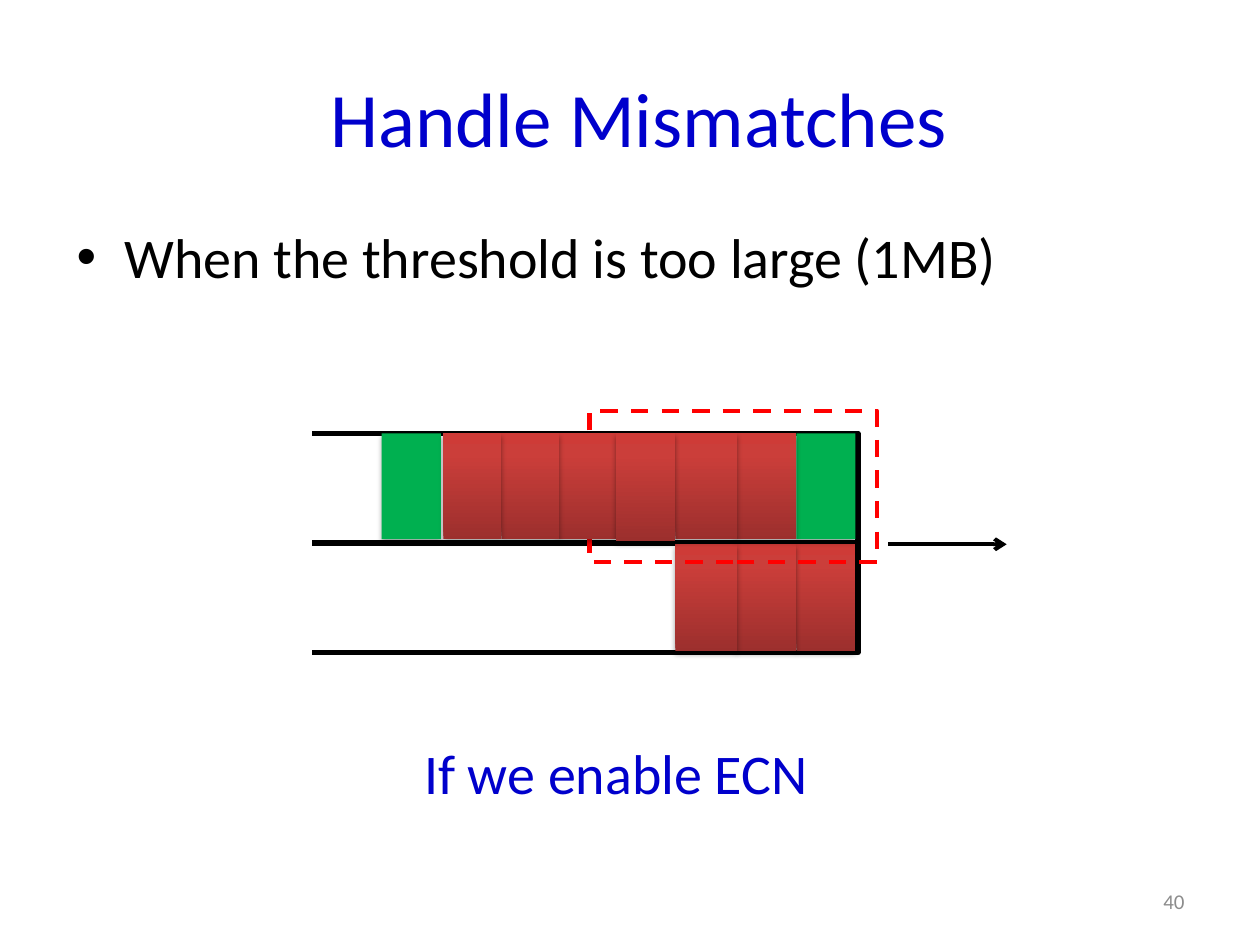
from copy import deepcopy

from lxml.etree import SubElement
from pptx import Presentation
from pptx.dml.color import RGBColor
from pptx.enum.dml import MSO_LINE
from pptx.enum.shapes import MSO_CONNECTOR, MSO_SHAPE
from pptx.enum.text import MSO_ANCHOR, PP_ALIGN
from pptx.oxml.ns import qn
from pptx.util import Inches, Pt

COLORS = {
    "heading": "0000CC", "text": "000000", "number": "8C8C8C",
    "queue": "FFFFFF", "outline": "000000", "marked": "00B050", "limit": "FF0000",
}
RED_STOPS = [(0, "9C2F2D"), (0.8, "CB3E3A"), (1, "CE3B37")]

QUEUE_LEFT, QUEUE_WIDTH, QUEUE_HEIGHT = 2.48, 4.33, 0.87
UPPER_TOP, LOWER_TOP = 3.44, 4.31
# Packet slots from the head of the queue: offset from its left edge, width
SLOTS = [(3.84, 0.47), (3.36, 0.48), (2.88, 0.49), (2.41, 0.47),
         (1.95, 0.46), (1.5, 0.46), (1.04, 0.46), (0.55, 0.47)]


def rgb(name):
    return RGBColor.from_string(COLORS[name])


def write(shape, text, size, color, align=PP_ALIGN.LEFT, anchor=MSO_ANCHOR.MIDDLE):
    frame = shape.text_frame
    frame.word_wrap = True
    frame.vertical_anchor = anchor
    paragraph = frame.paragraphs[0]
    paragraph.alignment = align
    run = paragraph.add_run()
    run.text = text
    font_format = {"name": "Calibri", "size": Pt(size)}
    for attribute, value in font_format.items():
        setattr(run.font, attribute, value)
    run.font.color.rgb = rgb(color)
    return paragraph


def add_text(slide, box, *args, **kwargs):
    return write(slide.shapes.add_textbox(*map(Inches, box)), *args, **kwargs)


def add_bullet(slide, box, text):
    paragraph = add_text(slide, box, text, 32, "text", anchor=MSO_ANCHOR.TOP)
    properties = paragraph._p.get_or_add_pPr()
    indent = Inches(0.38)
    properties.set("marL", str(indent))
    properties.set("indent", str(-indent))
    spacing = SubElement(properties, qn("a:spcBef"))
    SubElement(spacing, qn("a:spcPct"), val="20000")
    SubElement(properties, qn("a:buFont"), typeface="Arial")
    SubElement(properties, qn("a:buChar"), char="•")


def add_queue(slide, left, top, width, height):
    """Draw a queue that is open on its left side."""
    right, bottom = left + width, top + height
    builder = slide.shapes.build_freeform(Inches(left), Inches(top))
    corners = [(right, top), (right, bottom), (left, bottom)]
    builder.add_line_segments([(Inches(x), Inches(y)) for x, y in corners], close=False)
    queue = builder.convert_to_shape()
    queue.shadow.inherit = False
    queue.fill.solid()
    queue.fill.fore_color.rgb = rgb("queue")
    queue.line.color.rgb = rgb("outline")
    queue.line.width = Pt(3)


def fill_red(packet):
    packet.fill.gradient()
    packet.fill.gradient_angle = 90
    stop_list = next(packet.element.iter(qn("a:gsLst")))
    stop_list.insert(1, deepcopy(stop_list[0]))
    for stop, (position, color) in zip(packet.fill.gradient_stops, RED_STOPS):
        stop.position = position
        stop.color.rgb = RGBColor.from_string(color)


def add_soft_shadow(shape):
    shape.shadow.inherit = False
    effects = shape.element.spPr.find(qn("a:effectLst"))
    shadow = SubElement(effects, qn("a:outerShdw"), blurRad=str(Pt(3.1)),
                        dist=str(Pt(1.8)), dir="5400000", rotWithShape="0")
    color = SubElement(shadow, qn("a:srgbClr"), val=COLORS["outline"])
    SubElement(color, qn("a:alpha"), val="35000")


def add_packets(slide, top, height, slots, marked=()):
    """Put packets in the given slots; marked ones are green, the others red."""
    for slot in slots:
        offset, width = SLOTS[slot]
        box = (QUEUE_LEFT + offset, top, width, height)
        packet = slide.shapes.add_shape(MSO_SHAPE.RECTANGLE, *map(Inches, box))
        if slot in marked:
            packet.fill.solid()
            packet.fill.fore_color.rgb = rgb("marked")
        else:
            fill_red(packet)
        packet.line.fill.background()
        add_soft_shadow(packet)


def add_threshold(slide, box):
    threshold = slide.shapes.add_shape(MSO_SHAPE.RECTANGLE, *map(Inches, box))
    threshold.shadow.inherit = False
    threshold.fill.background()
    threshold.line.color.rgb = rgb("limit")
    line_format = {"width": Pt(2.5), "dash_style": MSO_LINE.DASH}
    for attribute, value in line_format.items():
        setattr(threshold.line, attribute, value)


def add_output_arrow(slide, left, y, length):
    arrow = slide.shapes.add_connector(
        MSO_CONNECTOR.STRAIGHT, Inches(left), Inches(y), Inches(left + length), Inches(y))
    arrow.line.color.rgb = rgb("outline")
    arrow.line.width = Pt(2.25)
    SubElement(arrow.line._get_or_add_ln(), qn("a:tailEnd"), type="arrow")
    SubElement(arrow.element.spPr, qn("a:effectLst"))


def add_queue_diagram(slide):
    """Draw both queues, with the threshold between the head and later packets."""
    for top in (UPPER_TOP, LOWER_TOP):
        add_queue(slide, QUEUE_LEFT, top, QUEUE_WIDTH, QUEUE_HEIGHT)
    add_packets(slide, LOWER_TOP + 0.01, 0.85, range(3))
    add_packets(slide, UPPER_TOP, 0.84, range(3), marked={0})
    add_threshold(slide, (4.68, 3.26, 2.28, 1.2))
    add_packets(slide, UPPER_TOP, 0.84, (4, 5, 7, 6), marked={7})
    add_packets(slide, UPPER_TOP, 0.85, [3])
    add_output_arrow(slide, 7.05, 4.32, 0.94)


def add_title(slide, box):
    title = slide.shapes.title
    for attribute, value in zip(("left", "top", "width", "height"), box):
        setattr(title, attribute, Inches(value))
    write(title, "Handle Mismatches", 44, "heading", PP_ALIGN.CENTER)


def main():
    presentation = Presentation()
    presentation.slide_width, presentation.slide_height = Inches(10), Inches(7.5)
    slide = presentation.slides.add_slide(presentation.slide_layouts.get_by_name("Title Only"))
    add_bullet(slide, (0.51, 1.72, 9, 5.54), "When the threshold is too large (1MB)")
    add_title(slide, (0.57, 0.3, 9, 1.25))
    add_queue_diagram(slide)
    add_text(slide, (1.44, 5.66, 6.9, 0.94), "If we enable ECN", 32, "heading",
             align=PP_ALIGN.CENTER)
    add_text(slide, (7.17, 6.95, 2.33, 0.4), "40", 12, "number", align=PP_ALIGN.RIGHT)
    presentation.save("out.pptx")


if __name__ == "__main__":
    main()
